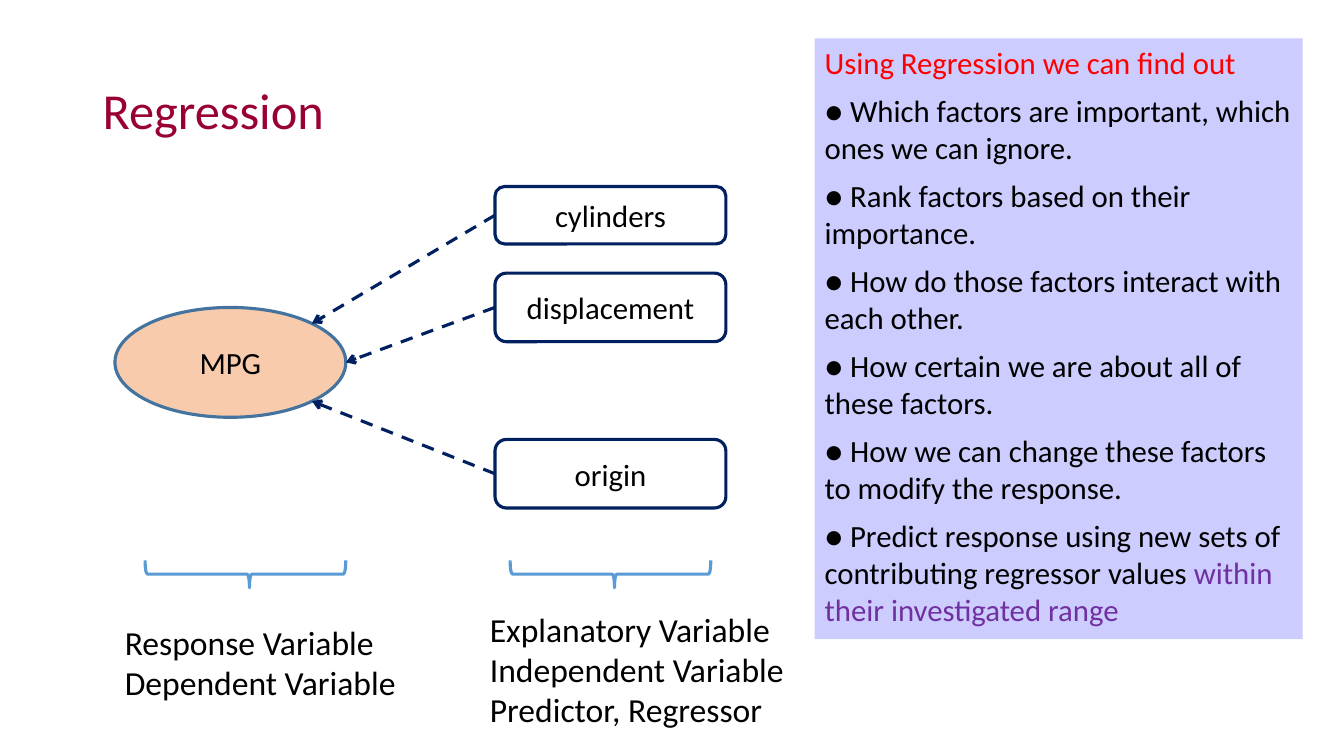
from math import cos, radians, sin

from lxml import etree
from pptx import Presentation
from pptx.dml.color import RGBColor
from pptx.enum.dml import MSO_LINE
from pptx.enum.shapes import MSO_CONNECTOR, MSO_SHAPE as SHAPE
from pptx.enum.text import MSO_ANCHOR as ANCHOR, PP_ALIGN as ALIGN
from pptx.oxml.ns import qn
from pptx.util import Inches, Pt

MAROON = RGBColor(0x99, 0x00, 0x33)
NAVY = RGBColor(0x00, 0x20, 0x60)
BLACK = RGBColor(0x00, 0x00, 0x00)
PEACH = RGBColor(0xF8, 0xCB, 0xAD)
STEEL = RGBColor(0x43, 0x73, 0x9E)
SKY = RGBColor(0x5B, 0x9B, 0xD5)
LAVENDER = RGBColor(0xCC, 0xCC, 0xFF)
RED = RGBColor(0xFF, 0x00, 0x00)
PURPLE = RGBColor(0x70, 0x30, 0xA0)
LINE_WIDTH = Pt(2.25)

presentation = Presentation()
presentation.slide_width = Inches(13.33)
presentation.slide_height = Inches(7.5)
slide = presentation.slides.add_slide(presentation.slide_layouts[6])

# Grid of 100 columns by 100 rows
COLUMN = presentation.slide_width / 100
ROW = presentation.slide_height / 100


def add_box(kind, left, top, width, height, fill=None, line=None):
    """Add a preset shape, or a text box when kind is None; lengths in grid units."""
    place = [round(length) for length in
             (left * COLUMN, top * ROW, width * COLUMN, height * ROW)]
    if kind is None:
        shape = slide.shapes.add_textbox(*place)
    else:
        shape = slide.shapes.add_shape(kind, *place)
        shape.shadow.inherit = False
    if fill is None:
        shape.fill.background()
    else:
        shape.fill.solid()
        shape.fill.fore_color.rgb = fill
    if line is None:
        shape.line.fill.background()
    else:
        shape.line.color.rgb = line
        shape.line.width = LINE_WIDTH
    shape.text_frame.word_wrap = True
    return shape


def set_text(shape, text, size, color=BLACK, align=ALIGN.LEFT, anchor=ANCHOR.TOP):
    frame = shape.text_frame
    frame.text = text
    frame.vertical_anchor = anchor
    for paragraph in frame.paragraphs:
        paragraph.alignment = align
        for run in paragraph.runs:
            run.font.name = "Calibri"
            run.font.size = Pt(size)
            run.font.color.rgb = color


# Title
title = add_box(None, 6.9, 5.33, 53.71, 19.33)
set_text(title, "Regression", 36, MAROON, anchor=ANCHOR.MIDDLE)
title.text_frame.paragraphs[0].line_spacing = 0.9

# Response
response = add_box(SHAPE.OVAL, 8.55, 40.67, 17.18, 14.53, PEACH, STEEL)
set_text(response, "MPG", 22, align=ALIGN.CENTER, anchor=ANCHOR.MIDDLE)
radius_x, radius_y = response.width / 2, response.height / 2
center_x, center_y = response.left + radius_x, response.top + radius_y

# Factors, each with an arrow to a point on the response ellipse
factors = [
    ("cylinders", 24.67, 7.6, -45),
    ("displacement", 36.13, 9.07, 0),
    ("origin", 58.13, 9.07, 45),
]
for name, top, height, degrees in factors:
    factor = add_box(SHAPE.ROUNDED_RECTANGLE, 36.83, top, 17.18, height, line=NAVY)
    set_text(factor, name, 22, align=ALIGN.CENTER, anchor=ANCHOR.MIDDLE)
    end_x = round(center_x + radius_x * cos(radians(degrees)))
    end_y = round(center_y + radius_y * sin(radians(degrees)))
    arrow = slide.shapes.add_connector(
        MSO_CONNECTOR.STRAIGHT, factor.left, factor.top, end_x, end_y)
    arrow.begin_connect(factor, 1)
    arrow.line.color.rgb = NAVY
    arrow.line.width = LINE_WIDTH
    arrow.line.dash_style = MSO_LINE.DASH
    etree.SubElement(arrow.line._get_or_add_ln(), qn("a:tailEnd"), type="arrow")
    etree.SubElement(arrow._element.spPr, qn("a:effectLst"))

# Braces and the variable names under them
groups = [
    (17.25, (8.55, 81.6, 22.58, 12.13), "Response Variable\nDependent Variable"),
    (44.41, (35.71, 79.87, 26.18, 17.47),
     "Explanatory Variable\nIndependent Variable\nPredictor, Regressor"),
]
for brace_left, label_place, names in groups:
    brace = add_box(SHAPE.LEFT_BRACE, brace_left, 62.67, 2.03, 26.53, line=SKY)
    brace.rotation = 270
    brace.adjustments[0] = 0.08
    brace.adjustments[1] = 0.52
    set_text(add_box(None, *label_place), names, 24)

# Panel of findings
findings = [
    "Using Regression we can find out",
    "● Which factors are important, which ones we can ignore.",
    "● Rank factors based on their importance.",
    "● How do those factors interact with each other.",
    "● How certain we are about all of these factors.",
    "● How we can change these factors to modify the response.",
    "● Predict response using new sets of contributing regressor values ",
]
panel = add_box(SHAPE.RECTANGLE, 60.62, 5.07, 36.31, 79.47, LAVENDER)
set_text(panel, "\n".join(findings), 22)
heading, *points = panel.text_frame.paragraphs
heading.runs[0].font.color.rgb = RED
for point in points:
    point.space_before = Pt(8)
limit = points[-1].add_run()
limit.text = "within their investigated range"
limit.font.name = "Calibri"
limit.font.size = Pt(22)
limit.font.color.rgb = PURPLE

presentation.save("out.pptx")
